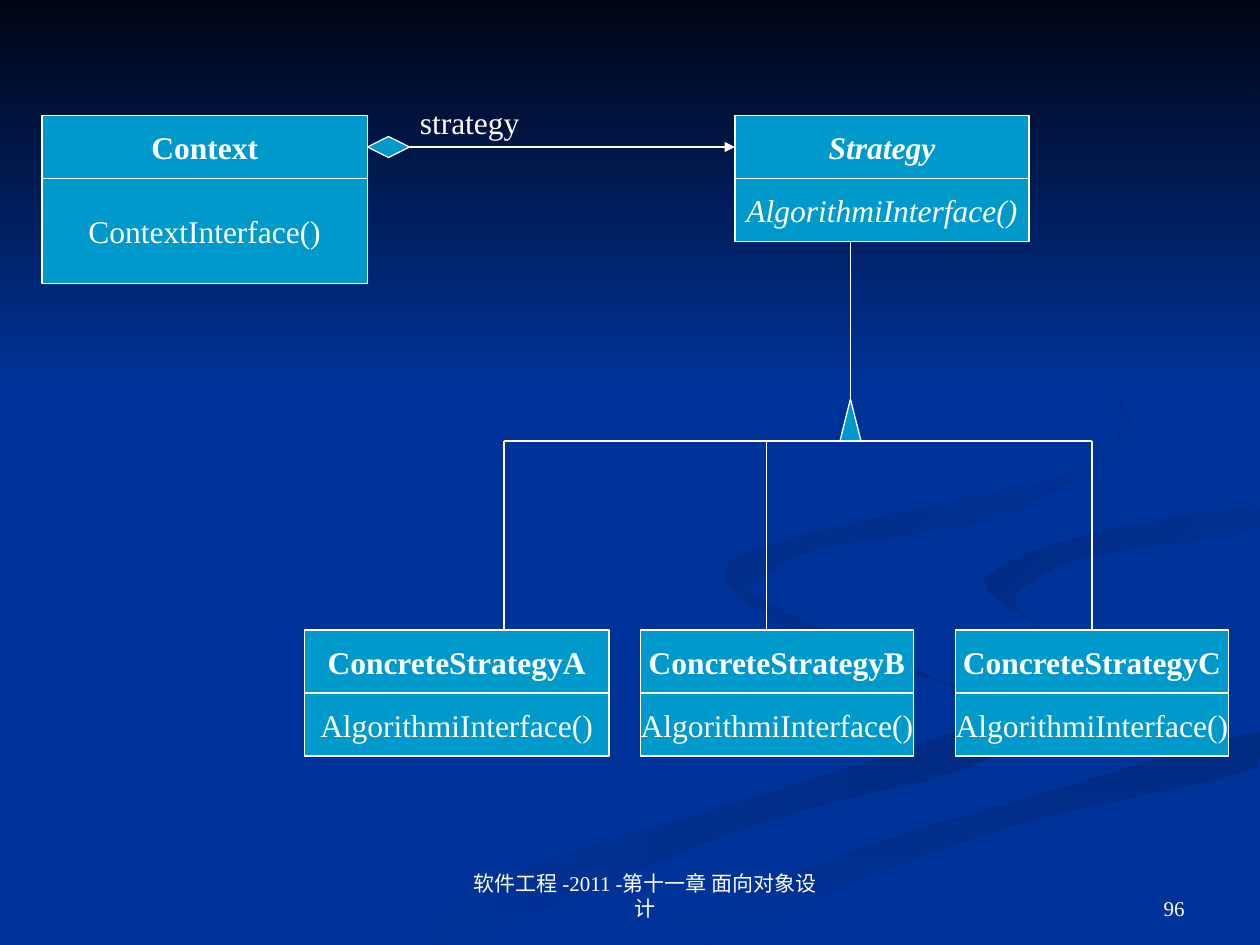
from dataclasses import dataclass

from lxml.etree import SubElement
from pptx import Presentation
from pptx.dml.color import RGBColor
from pptx.enum.shapes import MSO_CONNECTOR, MSO_SHAPE
from pptx.enum.text import MSO_ANCHOR, PP_ALIGN
from pptx.oxml.ns import qn
from pptx.util import Inches, Pt

TOP, LEFT, RIGHT = 0, 1, 3


@dataclass(frozen=True)
class Theme:
    background: str = "003399"
    night: str = "000514"
    shade: str = "002B81"
    box: str = "0099CC"
    ink: str = "FFFFFF"
    font: str = "Times New Roman"
    body: int = 18
    footer: int = 12
    line: float = 0.75


THEME = Theme()

# Ribbon outlines in 1/100 inch, smoothed when drawn
LONG_RIBBON = [(575, 460), (640, 506), (731, 533), (799, 575), (769, 609), (594, 656),
               (361, 749), (300, 749), (417, 690), (579, 639), (785, 566), (697, 525)]
LOW_RIBBON = [(503, 749), (571, 749), (695, 692), (821, 651), (998, 609),
              (998, 581), (831, 629), (696, 669), (569, 719)]
SHORT_RIBBON = [(781, 460), (826, 496), (805, 474), (859, 443), (998, 420),
                (998, 402), (865, 424)]
HIGH_RIBBON = [(762, 233), (846, 279), (889, 335), (842, 378), (704, 409), (597, 437),
               (577, 462), (622, 500), (593, 470), (649, 436), (786, 412), (894, 350), (864, 291)]


def grid(cells):
    """Length of a number of columns or rows: the slide is 120 by 90 cells."""
    return Inches(cells / 12)


def colour(value):
    return RGBColor.from_string(value)


def smooth(points, steps=4):
    """Closed Catmull-Rom curve through the points, kept on the slide."""
    curve = []
    for index in range(len(points)):
        a, b, c, d = (points[(index + shift) % len(points)] for shift in (-1, 0, 1, 2))
        for step in range(steps):
            t = step / steps
            x, y = (q + t / 2 * (r - p + t * (2 * p - 5 * q + 4 * r - s + t * (3 * (q - r) + s - p)))
                    for p, q, r, s in zip(a, b, c, d))
            curve.append((min(round(x), 1000), min(round(y), 750)))
    return curve


def fill_gradient(shape, first, last, angle):
    shape.shadow.inherit = False
    shape.line.fill.background()
    shape.fill.gradient()
    shape.fill.gradient_angle = (360 - angle) % 360
    for stop, value, position in zip(shape.fill.gradient_stops, (first, last), (0, 1)):
        stop.color.rgb = colour(value)
        stop.position = position


def add_ribbon(slide, points, first, last, angle):
    start, *rest = smooth(points)
    builder = slide.shapes.build_freeform(*start, scale=Inches(0.01))
    builder.add_line_segments(rest, close=True)
    fill_gradient(builder.convert_to_shape(), first, last, angle)


def add_background(slide):
    base, shade = THEME.background, THEME.shade
    slide.background.fill.solid()
    slide.background.fill.fore_color.rgb = colour(base)
    add_ribbon(slide, LONG_RIBBON, shade, base, 180)
    add_ribbon(slide, LOW_RIBBON, shade, base, 90)
    for points in (SHORT_RIBBON, HIGH_RIBBON):
        add_ribbon(slide, points, base, shade, 225)
    sky = slide.shapes.add_shape(MSO_SHAPE.RECTANGLE, 0, 0, grid(120), grid(37))
    fill_gradient(sky, THEME.night, base, 90)


def format_text(text_frame, text, size, align, bold=False, italic=False):
    text_frame.text = text
    paragraph = text_frame.paragraphs[0]
    paragraph.alignment = align
    font = paragraph.runs[0].font
    font.name, font.size = THEME.font, Pt(size)
    font.bold, font.italic = bold, italic
    font.color.rgb = colour(THEME.ink)


def add_symbol(slide, kind, column, row, columns, rows):
    shape = slide.shapes.add_shape(kind, *map(grid, (column, row, columns, rows)))
    shape.shadow.inherit = False
    shape.fill.solid()
    shape.fill.fore_color.rgb = colour(THEME.box)
    shape.line.color.rgb = colour(THEME.ink)
    shape.line.width = Pt(THEME.line)
    return shape


def add_class(slide, name, method, column, row, columns, method_rows=6, abstract=False):
    """Draw a class with a name part over a method part; return the name part."""
    name_box = add_symbol(slide, MSO_SHAPE.RECTANGLE, column, row, columns, 6)
    method_box = add_symbol(slide, MSO_SHAPE.RECTANGLE, column, row + 6, columns, method_rows)
    for box, text, bold in ((name_box, name, True), (method_box, method, False)):
        box.text_frame.word_wrap = False
        box.text_frame.vertical_anchor = MSO_ANCHOR.MIDDLE
        format_text(box.text_frame, text, THEME.body, PP_ALIGN.CENTER, bold, abstract)
    return name_box


def add_line(slide, start, end, arrow=False):
    line = slide.shapes.add_connector(MSO_CONNECTOR.STRAIGHT, *map(grid, start + end))
    line.line.color.rgb = colour(THEME.ink)
    line.line.width = Pt(THEME.line)
    if arrow:
        SubElement(line.line._get_or_add_ln(), qn("a:tailEnd"), type="triangle")
    SubElement(line._element.spPr, qn("a:effectLst"))
    return line


def add_text(slide, text, column, row, columns, rows, size, align):
    box = slide.shapes.add_textbox(*map(grid, (column, row, columns, rows)))
    box.text_frame.word_wrap = False
    format_text(box.text_frame, text, size, align)
    return box


def add_footer(slide, text, column, columns, align):
    text_frame = add_text(slide, text, column, 82, columns, 6.25, THEME.footer, align).text_frame
    text_frame.word_wrap = True
    text_frame.vertical_anchor = MSO_ANCHOR.BOTTOM
    properties = text_frame.paragraphs[0]._p.get_or_add_pPr()
    properties.set("marL", str(Inches(0.24)))
    properties.set("indent", "0")


def main():
    presentation = Presentation()
    presentation.slide_width, presentation.slide_height = grid(120), grid(90)
    slide = presentation.slides.add_slide(presentation.slide_layouts[6])
    add_background(slide)

    # Context holds a strategy
    add_class(slide, "Context", "ContextInterface()", 4, 11, 31, method_rows=10)
    strategy = add_class(slide, "Strategy", "AlgorithmiInterface()", 70, 11, 28, abstract=True)
    diamond = add_symbol(slide, MSO_SHAPE.DIAMOND, 35, 13, 4, 2)
    reference = add_line(slide, (39, 14), (70, 14), arrow=True)
    reference.begin_connect(diamond, RIGHT)
    reference.end_connect(strategy, LEFT)
    add_text(slide, "strategy", 38.8, 9.2, 11.9, 4.8, THEME.body, PP_ALIGN.LEFT)

    # Inheritance trunk
    triangle = add_symbol(slide, MSO_SHAPE.ISOSCELES_TRIANGLE, 80, 38, 2, 4)
    add_line(slide, (81, 23), (81, 38)).end_connect(triangle, TOP)
    add_line(slide, (48, 42), (104, 42))

    # Concrete strategies: letter, left column, width, column of the branch
    for letter, column, columns, branch in (("A", 29, 29, 48), ("B", 61, 26, 73), ("C", 91, 26, 104)):
        box = add_class(slide, f"ConcreteStrategy{letter}", "AlgorithmiInterface()", column, 60, columns)
        line = add_line(slide, (branch, 42), (branch, 60))
        if branch == column + columns / 2:
            line.end_connect(box, TOP)

    # Footer and slide number
    add_footer(slide, "软件工程 -2011 -第十一章 面向对象设计", 41, 38, PP_ALIGN.CENTER)
    add_footer(slide, "96", 86, 28, PP_ALIGN.RIGHT)

    presentation.save("out.pptx")


if __name__ == "__main__":
    main()
